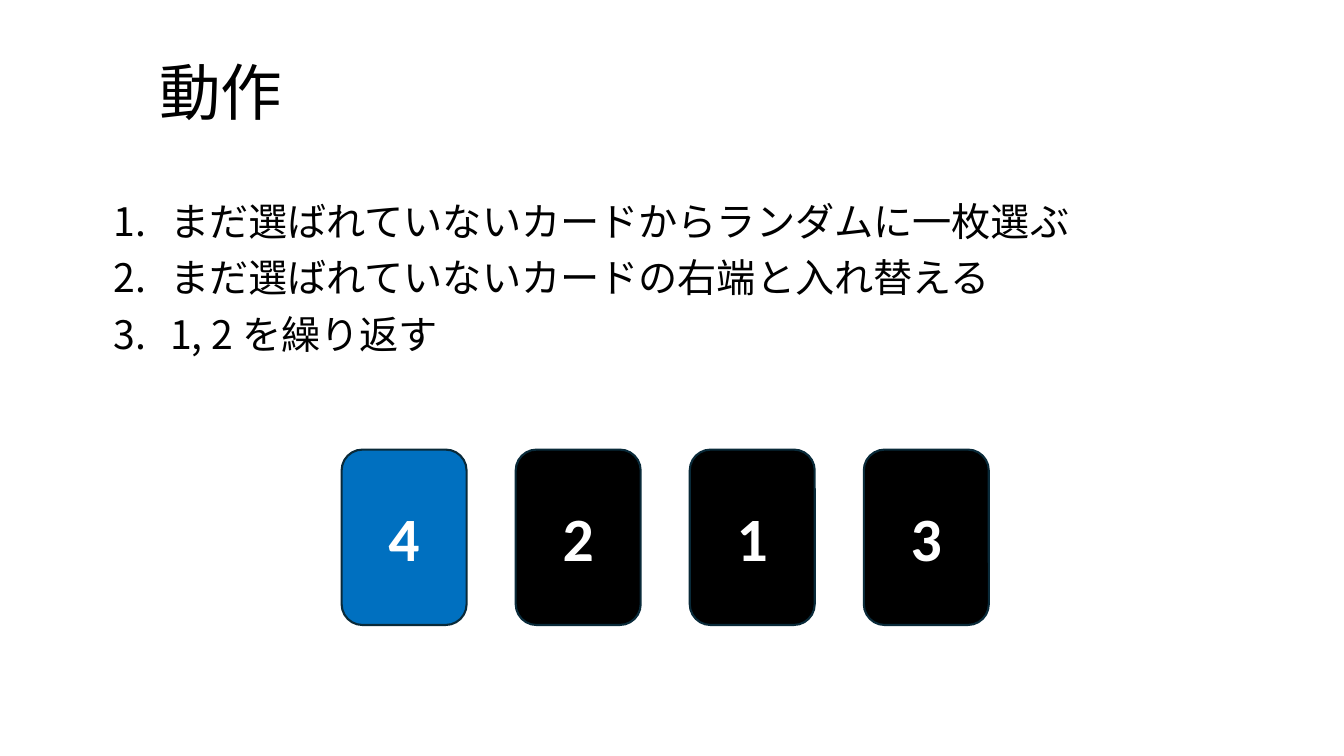
from lxml import etree
from pptx import Presentation
from pptx.dml.color import RGBColor
from pptx.enum.shapes import MSO_SHAPE
from pptx.enum.text import MSO_ANCHOR, MSO_AUTO_SIZE, PP_ALIGN
from pptx.oxml.ns import qn
from pptx.util import Cm, Pt

ROUND_RECT = MSO_SHAPE.ROUNDED_RECTANGLE
LEFT, CENTER = PP_ALIGN.LEFT, PP_ALIGN.CENTER
TOP, MIDDLE = MSO_ANCHOR.TOP, MSO_ANCHOR.MIDDLE
NO_AUTOFIT = MSO_AUTO_SIZE.NONE
TITLE_ONLY = 5

JAPANESE, LATIN = "Noto Sans CJK JP", "Calibri"
BLACK, WHITE, BLUE, OUTLINE = "000000", "FFFFFF", "0070C0", "092A39"

STEPS = [
    "まだ選ばれていないカードからランダムに一枚選ぶ",
    "まだ選ばれていないカードの右端と入れ替える",
    "1, 2 を繰り返す",
]
CARDS = [("4", BLUE), ("2", BLACK), ("1", BLACK), ("3", BLACK)]


def rgb(value):
    return RGBColor.from_string(value)


def set_attrs(obj, values):
    for name, value in values.items():
        setattr(obj, name, value)


def add_run(p, text, font, size, color, bold=False):
    r = p.add_run()
    r.text = text
    set_attrs(r.font, {"name": font, "size": Pt(size), "bold": bold})
    r.font.color.rgb = rgb(color)
    # Japanese glyphs take their font from the East Asian slot
    ea = etree.SubElement(r.font._element, qn("a:ea"))
    ea.set("typeface", font)


def number_paragraph(p, indent):
    pPr = p._p.get_or_add_pPr()
    pPr.set("marL", str(indent))
    pPr.set("indent", str(-indent))
    etree.SubElement(pPr, qn("a:buFont")).set("typeface", "+mj-lt")
    etree.SubElement(pPr, qn("a:buAutoNum")).set("type", "arabicPeriod")


def add_title(s, text, left, top, width, height):
    sp = s.shapes.title
    set_attrs(sp, {"left": left, "top": top, "width": width, "height": height})
    tf = sp.text_frame
    set_attrs(tf, {"vertical_anchor": MIDDLE, "word_wrap": True,
                   "auto_size": NO_AUTOFIT})
    p = tf.paragraphs[0]
    set_attrs(p, {"alignment": LEFT, "line_spacing": 0.9})
    add_run(p, text, JAPANESE, 44, BLACK)


def add_steps(s, steps, left, top, width, height):
    tf = s.shapes.add_textbox(left, top, width, height).text_frame
    set_attrs(tf, {"vertical_anchor": TOP, "word_wrap": True,
                   "auto_size": NO_AUTOFIT})
    for i, step in enumerate(steps):
        p = tf.add_paragraph() if i else tf.paragraphs[0]
        number_paragraph(p, Cm(1.42))
        set_attrs(p, {"line_spacing": 0.9, "space_before": Pt(10 if i else 0)})
        add_run(p, step, JAPANESE, 28, BLACK)


def add_cards(s, cards, left, top, width, height):
    card_width = Cm(3.15)
    pitch = (width - card_width) // (len(cards) - 1)
    for i, (number, fill) in enumerate(cards):
        sp = s.shapes.add_shape(ROUND_RECT, left + i * pitch, top,
                                card_width, height)
        sp.shadow.inherit = False
        sp.fill.solid()
        sp.fill.fore_color.rgb = rgb(fill)
        sp.line.color.rgb = rgb(OUTLINE)
        sp.line.width = Pt(1.5)
        tf = sp.text_frame
        tf.vertical_anchor = MIDDLE
        p = tf.paragraphs[0]
        p.alignment = CENTER
        add_run(p, number, LATIN, 44, WHITE, bold=True)


def main():
    prs = Presentation()
    set_attrs(prs, {"slide_width": Cm(33.87), "slide_height": Cm(19.05)})
    s = prs.slides.add_slide(prs.slide_layouts[TITLE_ONLY])

    # Heading, numbered procedure and row of cards
    add_title(s, "動作", Cm(3.76), Cm(0.58), Cm(29.21), Cm(3.68))
    add_steps(s, STEPS, Cm(2.62), Cm(4.98), Cm(29.21), Cm(12.09))
    add_cards(s, CARDS, Cm(8.61), Cm(11.33), Cm(16.31), Cm(4.42))

    prs.save("out.pptx")


if __name__ == "__main__":
    main()
